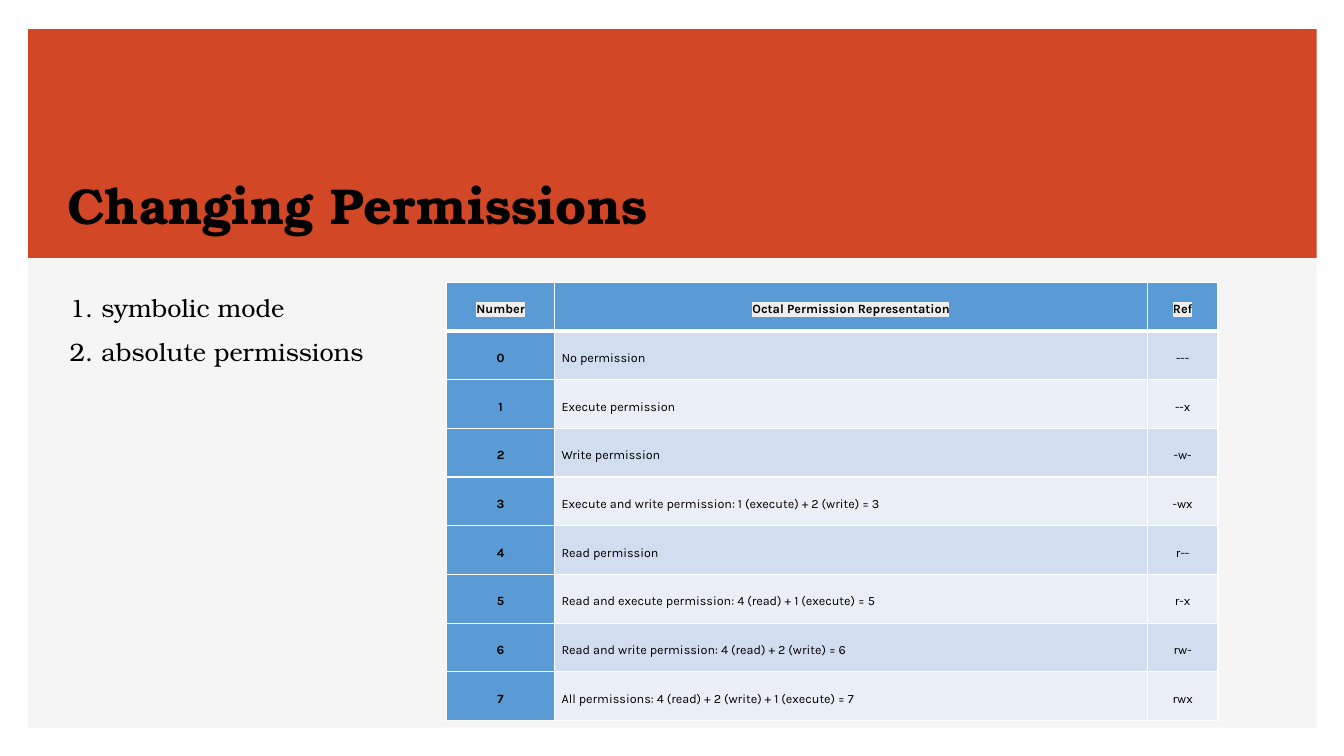
from lxml.etree import SubElement
from pptx import Presentation
from pptx.dml.color import RGBColor
from pptx.enum.shapes import MSO_SHAPE
from pptx.enum.text import MSO_ANCHOR, MSO_AUTO_SIZE, PP_ALIGN
from pptx.oxml import parse_xml
from pptx.oxml.ns import nsdecls, qn
from pptx.util import Inches, Pt

BLACK = RGBColor(0x00, 0x00, 0x00)
WHITE = RGBColor(0xFF, 0xFF, 0xFF)
PANEL_GREY = RGBColor(0xF5, 0xF5, 0xF5)
BANNER_RED = RGBColor(0xD2, 0x47, 0x26)
HEADER_BLUE = RGBColor(0x5B, 0x9B, 0xD5)
BAND_DARK = RGBColor(0xD2, 0xDE, 0xEF)
BAND_LIGHT = RGBColor(0xEA, 0xEF, 0xF7)
HIGHLIGHT_GREY = RGBColor(0xEE, 0xEE, 0xEE)

SERIF = "TeX Gyre Bonum"
SANS = "Karla"

PANEL_BOX = (0.28, 0.29, 12.78, 6.93)
BANNER_HEIGHT = 2.27
TITLE_BOX = (0.57, 1.68, 7.52, 0.7)
MODES_BOX = (0.59, 2.8, 10.33, 4.35)
TABLE_BOX = (4.43, 2.8, 7.64, 4.35)
COLUMN_WIDTHS = (1.07, 5.88, 0.7)

MODES = ["1. symbolic mode", "2. absolute permissions"]
PERMISSIONS = [
    ("Number", "Octal Permission Representation", "Ref"),
    ("0", "No permission", "---"),
    ("1", "Execute permission", "--x"),
    ("2", "Write permission", "-w-"),
    ("3", "Execute and write permission: 1 (execute) + 2 (write) = 3", "-wx"),
    ("4", "Read permission", "r--"),
    ("5", "Read and execute permission: 4 (read) + 1 (execute) = 5", "r-x"),
    ("6", "Read and write permission: 4 (read) + 2 (write) = 6", "rw-"),
    ("7", "All permissions: 4 (read) + 2 (write) + 1 (execute) = 7", "rwx"),
]


def format_paragraph(para, font_name, size, bold=False, align=PP_ALIGN.LEFT):
    """Align a paragraph and set the font of its runs."""
    para.alignment = align
    para.space_before = Pt(0)
    for span in para.runs:
        span.font.name = font_name
        span.font.size = Pt(size)
        span.font.bold = bold
        span.font.color.rgb = BLACK


def add_panel(slide, box, color, layer):
    """Add a filled rectangle behind the text at the given layer."""
    panel = slide.shapes.add_shape(MSO_SHAPE.RECTANGLE, *map(Inches, box))
    panel.shadow.inherit = False
    panel.fill.solid()
    panel.fill.fore_color.rgb = color
    panel.line.fill.background()
    slide.shapes.element.insert(layer, panel.element)


def add_background(slide, box):
    """Place the grey panel and the red banner across its top."""
    left, top, width, _ = box
    add_panel(slide, box, PANEL_GREY, 2)
    add_panel(slide, (left, top, width, BANNER_HEIGHT), BANNER_RED, 3)


def place(holder, box, anchor):
    """Move a placeholder to its box and fix its text frame."""
    holder.left, holder.top, holder.width, holder.height = map(Inches, box)
    frame = holder.text_frame
    frame.word_wrap = True
    frame.auto_size = MSO_AUTO_SIZE.NONE
    frame.vertical_anchor = anchor


def fill_title(holder, box):
    """Write the slide title at the bottom of its box."""
    holder.text_frame.text = "Changing Permissions"
    place(holder, box, MSO_ANCHOR.BOTTOM)
    format_paragraph(holder.text_frame.paragraphs[0], SERIF, 36, bold=True)


def fill_modes(holder, box):
    """Write the list of permission modes without bullets."""
    holder.text_frame.text = "\n".join(MODES)
    place(holder, box, MSO_ANCHOR.TOP)
    for para in holder.text_frame.paragraphs:
        format_paragraph(para, SERIF, 18)
        para.line_spacing = 1.15
        para.space_after = Pt(7)
        properties = para._p.get_or_add_pPr()
        properties.set("marL", "0")
        properties.set("indent", "0")
        SubElement(properties, qn("a:buNone"))


def set_borders(cell, top, bottom):
    """Draw white borders, with top and bottom widths in points."""
    properties = cell._tc.get_or_add_tcPr()
    sides = (("lnL", 1), ("lnR", 1), ("lnT", top), ("lnB", bottom))
    for position, (side, width) in enumerate(sides):
        properties.insert(position, parse_xml(
            f'<a:{side} {nsdecls("a")} w="{Pt(width)}"><a:solidFill>'
            f'<a:srgbClr val="{WHITE}"/></a:solidFill></a:{side}>'))


def highlight(span):
    """Put a grey highlight behind a run."""
    latin = span._r.get_or_add_rPr().find(qn("a:latin"))
    latin.addprevious(parse_xml(
        f'<a:highlight {nsdecls("a")}>'
        f'<a:srgbClr val="{HIGHLIGHT_GREY}"/></a:highlight>'))


def fill_cell(cell, text, row, column):
    """Write and format one cell according to its row and column."""
    is_heading = row == 0 or column == 0
    is_description = row > 0 and column == 1
    cell.text_frame.text = text
    cell.vertical_anchor = MSO_ANCHOR.MIDDLE
    cell.margin_left = cell.margin_right = Inches(0.07)
    cell.margin_top = cell.margin_bottom = Inches(0.07)
    cell.fill.solid()
    band = BAND_DARK if row % 2 else BAND_LIGHT
    cell.fill.fore_color.rgb = HEADER_BLUE if is_heading else band
    set_borders(cell, top=3 if row == 1 else 1, bottom=3 if row == 0 else 1)
    para = cell.text_frame.paragraphs[0]
    align = PP_ALIGN.LEFT if is_description else PP_ALIGN.CENTER
    format_paragraph(para, SANS, 9, is_heading, align)
    para.line_spacing = 1.41
    para.space_after = Pt(10)
    if row == 0:
        highlight(para.runs[0])


def add_permission_table(slide, box):
    """Add the table of octal permissions with equal rows."""
    frame = slide.shapes.add_table(
        len(PERMISSIONS), len(COLUMN_WIDTHS), *map(Inches, box))
    table = frame.table
    table.horz_banding = False
    for column, width in zip(table.columns, COLUMN_WIDTHS):
        column.width = Inches(width)
    for row, texts in enumerate(PERMISSIONS):
        for column, text in enumerate(texts):
            fill_cell(table.cell(row, column), text, row, column)


def build_permissions_slide(deck):
    """Build the slide with title, list of modes and table."""
    slide = deck.slides.add_slide(deck.slide_layouts[1])
    add_background(slide, PANEL_BOX)
    fill_title(slide.shapes.title, TITLE_BOX)
    fill_modes(slide.placeholders[1], MODES_BOX)
    add_permission_table(slide, TABLE_BOX)


def main():
    """Create the deck and save it."""
    deck = Presentation()
    deck.slide_width = Inches(13.33)
    deck.slide_height = Inches(7.5)
    build_permissions_slide(deck)
    deck.save("out.pptx")


if __name__ == "__main__":
    main()
